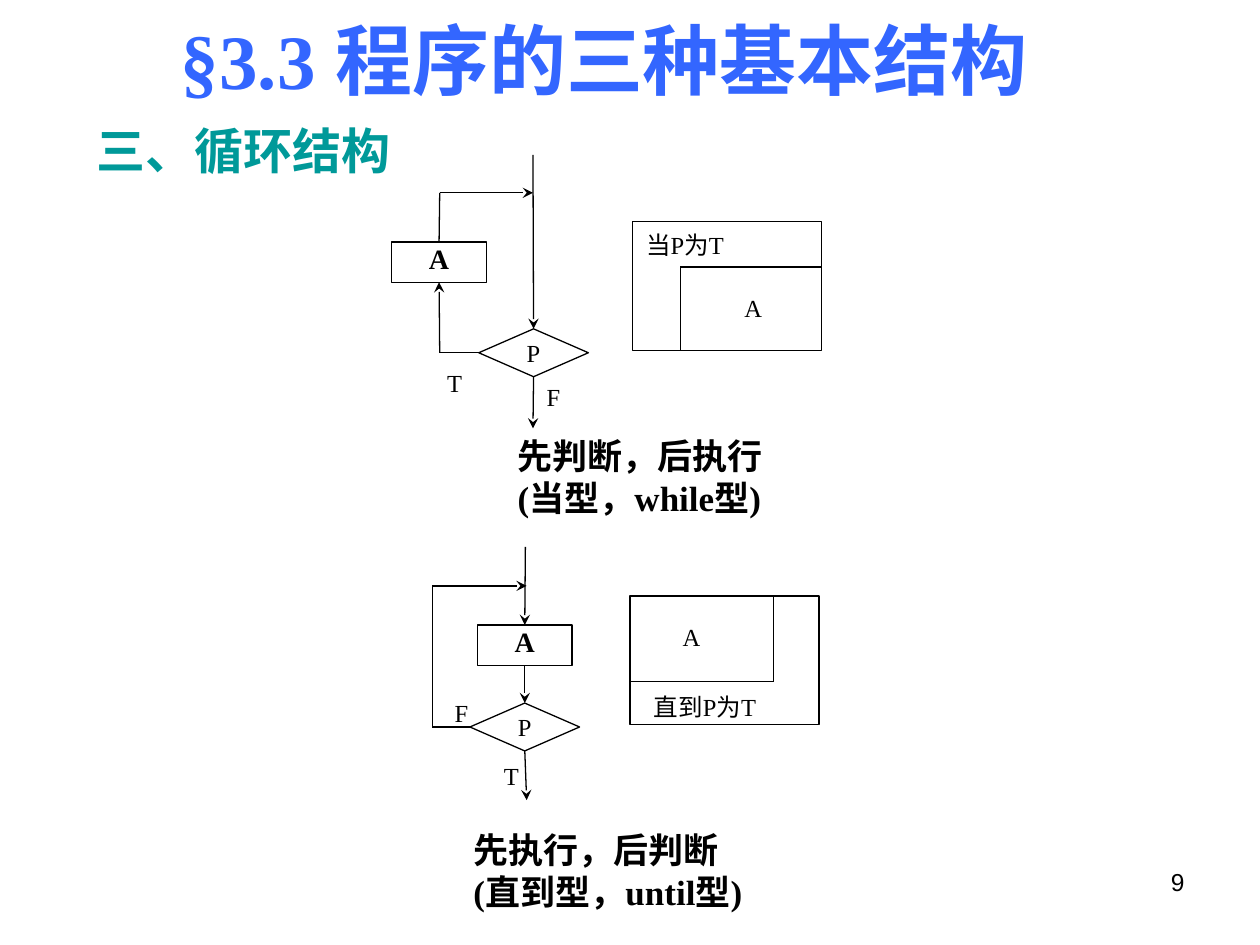
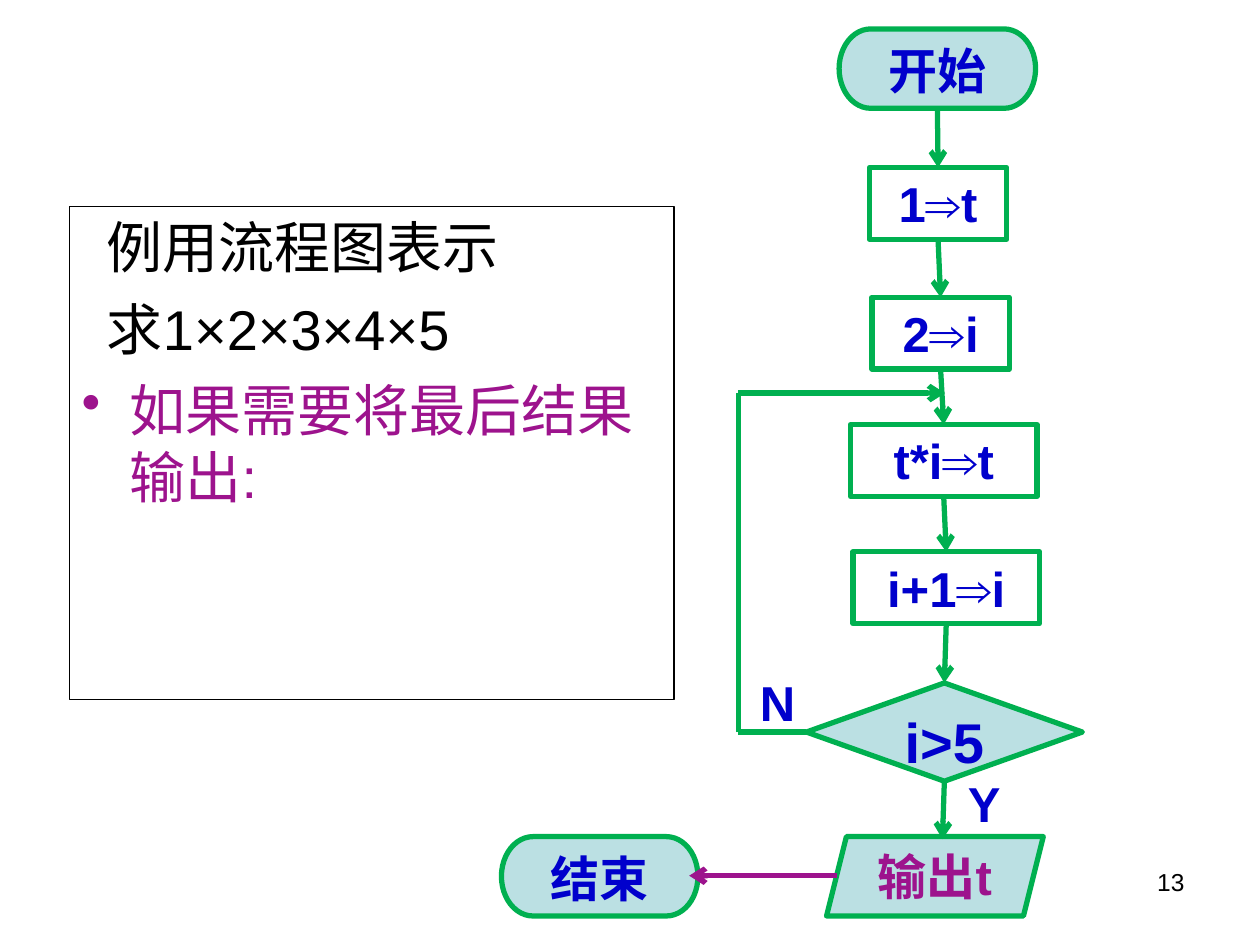
from dataclasses import dataclass

import lxml.etree
import pptx
import pptx.dml.color
import pptx.enum.shapes
import pptx.enum.text
import pptx.oxml.ns
import pptx.util

PX = 9144  # one px is a hundredth of an inch
SHAPE = pptx.enum.shapes.MSO_SHAPE
ALIGN = pptx.enum.text.PP_ALIGN
ANCHOR = pptx.enum.text.MSO_ANCHOR
TOP, LEFT, BOTTOM, RIGHT = range(4)


@dataclass(frozen=True)
class Theme:
    serif: str = "Times New Roman"
    sans: str = "Arial"
    black: str = "000000"
    white: str = "FFFFFF"
    title_blue: str = "3366FF"
    teal: str = "009999"
    green: str = "00B050"
    pale: str = "BBE0E3"
    step_blue: str = "0000CC"
    purple: str = "9D138D"
    thin: float = 0.75
    thick: float = 3
    title: int = 44
    example: int = 32
    heading: int = 28
    caption: int = 20
    box: int = 16
    label: int = 14


THEME = Theme()


def rgb(value):
    return pptx.dml.color.RGBColor.from_string(value)


def sub(parent, tag, **attributes):
    return lxml.etree.SubElement(parent, pptx.oxml.ns.qn(tag), attributes)


def write(frame, text, size=THEME.label, font=THEME.serif, color=THEME.black, bold=False,
          align=ALIGN.LEFT, before=0, margin=0, indent=0, bullet=None):
    """Add each line of text to the frame as a paragraph."""
    for line in text.split("\n"):
        fresh = frame.paragraphs[-1]
        paragraph = frame.add_paragraph() if fresh.runs else fresh
        paragraph.alignment = align
        properties = paragraph._p.get_or_add_pPr()
        properties.set("marL", str(margin * PX))
        properties.set("indent", str(indent * PX))
        if before:
            paragraph.space_before = pptx.util.Pt(before)
        if bullet:
            sub(sub(properties, "a:buClr"), "a:srgbClr", val=color)
            sub(properties, "a:buChar", char=bullet)
        run = paragraph.add_run()
        run.text = line
        run.font.size = pptx.util.Pt(size)
        run.font.name = font
        run.font.bold = bold
        run.font.color.rgb = rgb(color)


def set_frame(frame, inset, wrap, grow=False, anchor=ANCHOR.TOP):
    frame.word_wrap = wrap
    frame.vertical_anchor = anchor
    frame.auto_size = getattr(pptx.enum.text.MSO_AUTO_SIZE, "SHAPE_TO_FIT_TEXT" if grow else "NONE")
    frame.margin_left = frame.margin_right = (10 if inset else 0) * PX
    frame.margin_top = frame.margin_bottom = (5 if inset else 0) * PX


class Region:
    """A set of shapes placed relative to a top-left corner."""

    def __init__(self, shapes, x=0, y=0):
        self.shapes, self.x, self.y = shapes, x, y

    def inner(self, x, y):
        return Region(self.shapes, self.x + x, self.y + y)

    def place(self, x, y):
        return (self.x + x) * PX, (self.y + y) * PX

    def text(self, x, y, width, height, words, wrap=False, grow=True, **style):
        box = self.shapes.add_textbox(*self.place(x, y), width * PX, height * PX)
        set_frame(box.text_frame, True, wrap, grow)
        write(box.text_frame, words, **style)

    def shape(self, kind, x, y, width, height, words="", fill=None, line=THEME.black,
              weight=THEME.thin, inset=False, wrap=True, grow=False, anchor=ANCHOR.TOP, **style):
        part = self.shapes.add_shape(kind, *self.place(x, y), width * PX, height * PX)
        part.shadow.inherit = False
        if fill:
            part.fill.solid()
            part.fill.fore_color.rgb = rgb(fill)
        else:
            part.fill.background()
        part.line.color.rgb = rgb(line)
        part.line.width = pptx.util.Pt(weight)
        set_frame(part.text_frame, inset, wrap, grow, anchor)
        if words:
            write(part.text_frame, words, align=ALIGN.CENTER, **style)
        return part

    def line(self, start, end, color=THEME.black, weight=THEME.thin, arrow=None):
        """Each end is a point, or a shape with one of its sides."""
        points = [(0, 0) if hasattr(stop[0], "shape_id") else self.place(*stop)
                  for stop in (start, end)]
        for index, stop in enumerate((start, end)):
            if hasattr(stop[0], "shape_id"):
                points[index] = side_middle(*stop)
        link = self.shapes.add_connector(
            pptx.enum.shapes.MSO_CONNECTOR.STRAIGHT, *points[0], *points[1])
        if hasattr(start[0], "shape_id"):
            link.begin_connect(*start)
        if hasattr(end[0], "shape_id"):
            link.end_connect(*end)
        link.line.color.rgb = rgb(color)
        link.line.width = pptx.util.Pt(weight)
        if arrow:
            sub(link.line._get_or_add_ln(), "a:tailEnd", type=arrow)
        sub(link._element.spPr, "a:effectLst")


def side_middle(part, side):
    across = {LEFT: 0, RIGHT: part.width}.get(side, part.width // 2)
    down = {TOP: 0, BOTTOM: part.height}.get(side, part.height // 2)
    return part.left + across, part.top + down


def page_number(page, number):
    page.text(717, 683, 233, 52, number, wrap=True, grow=False,
              font=THEME.sans, align=ALIGN.RIGHT)


# Loop structures

def nassi_box(region, condition, condition_at, body_at, bar, post):
    """Structured chart: a condition strip wrapped round the loop body."""
    width, height = 150, 102
    bar_x, bar_y = bar
    region.shape(SHAPE.RECTANGLE, 0, 0, width, height)
    region.line((0 if post else bar_x, bar_y), (bar_x if post else width, bar_y))
    region.line((bar_x, 0 if post else bar_y), (bar_x, bar_y if post else height))
    region.text(*body_at, 34, 34, "A")
    region.text(*condition_at, 115 if post else 95, 34, condition)


def body_step(region, x, y):
    return region.shape(SHAPE.RECTANGLE, x, y, 75, 32, "A", size=THEME.box, bold=True)


def loop_test(region, x, y):
    return region.shape(SHAPE.FLOWCHART_DECISION, x, y, 87, 38, "P", anchor=ANCHOR.MIDDLE)


def while_loop(region):
    nassi_box(region.inner(191, 53), "当P为T", (1, 2), (79, 52), (38, 36), post=False)
    test = loop_test(region, 69, 138)
    body = body_step(region, 0, 69)
    region.line((112, 0), (test, TOP), arrow="stealth")
    region.line((test, BOTTOM), (112, 217), arrow="stealth")
    region.line((test, LEFT), (38, 157))
    region.line((38, 157), (body, BOTTOM), arrow="stealth")
    region.line((body, TOP), (38, 30))
    region.line((38, 30), (112, 30), arrow="stealth")
    region.text(34, 164, 32, 34, "T")
    region.text(113, 175, 31, 34, "F")
    region.text(90, 217, 240, 77, "先判断，后执行\n(当型，while型)", size=THEME.caption, bold=True)


def until_loop(region):
    nassi_box(region.inner(157, 39), "直到P为T", (9, 71), (32, 16), (114, 68), post=True)
    test = loop_test(region, 30, 124)
    body = body_step(region, 36, 62)
    region.line((74, 0), (body, TOP), arrow="stealth")
    region.line((body, BOTTOM), (test, TOP), arrow="stealth")
    region.line((test, BOTTOM), (75, 201), arrow="stealth")
    region.line((test, LEFT), (0, 143))
    region.line((0, 143), (0, 31))
    region.line((0, 31), (75, 31), arrow="stealth")
    region.text(8, 115, 31, 34, "F")
    region.text(47, 165, 32, 34, "T")
    region.text(23, 219, 260, 77, "先执行，后判断\n(直到型，until型)", size=THEME.caption, bold=True)


def loops_slide(slide):
    page = Region(slide.shapes)
    page_number(page, "9")
    page.text(106, 5, 748, 84, "§3.3 程序的三种基本结构", wrap=True, size=THEME.title,
              color=THEME.title_blue, bold=True, align=ALIGN.CENTER)
    page.text(67, 91, 323, 57, "三、循环结构", wrap=True, size=THEME.heading,
              color=THEME.teal, bold=True)
    for draw, x, y in ((while_loop, 311, 123), (until_loop, 343, 434)):
        draw(Region(slide.shapes.add_group_shape().shapes, x, y))


# Factorial example

def task_panel(region):
    panel = region.shape(SHAPE.RECTANGLE, 0, 0, 480, 391, fill=THEME.white, inset=True)
    style = dict(size=THEME.example, font=THEME.sans)
    write(panel.text_frame, "例用流程图表示", margin=20, **style)
    write(panel.text_frame, "求1×2×3×4×5", margin=20, before=8, **style)
    write(panel.text_frame, "如果需要将最后结果输出:", margin=38, indent=-38, before=8,
          bullet="•", color=THEME.purple, **style)


def factorial_flow(region):
    label = dict(size=THEME.heading, font=THEME.sans, color=THEME.step_blue, bold=True)
    outline = dict(line=THEME.green, weight=THEME.thick)
    filled = dict(outline, fill=THEME.pale, wrap=False)
    stroke = dict(color=THEME.green, weight=THEME.thick)

    # Nodes
    begin = region.shape(SHAPE.FLOWCHART_TERMINATOR, 268, 0, 156, 63, "开始", **filled, **label)
    steps = [region.shape(SHAPE.RECTANGLE, x, y, width, 57, words, inset=True, grow=True,
                          **outline, **label)
             for x, y, width, words in ((292, 110, 109, "1⇒t"), (294, 213, 109, "2⇒i"),
                                        (277, 314, 148, "t*i⇒t"), (279, 415, 148, "i+1⇒i"))]
    test = region.shape(SHAPE.FLOWCHART_DECISION, 242, 519, 219, 78, "i>5", **filled,
                        **{**label, "size": THEME.example})
    result = region.shape(SHAPE.PARALLELOGRAM, 258, 641, 172, 63, "输出t", **filled,
                          **{**label, "color": THEME.purple})
    result.adjustments[0] = 0.25
    region.shape(SHAPE.FLOWCHART_TERMINATOR, 0, 641, 156, 63, "结束", **filled, **label)

    # Downward path
    chain = [begin, *steps, test]
    for upper, lower in zip(chain, chain[1:]):
        region.line((upper, BOTTOM), (lower, TOP), arrow="arrow", **stroke)
    region.line((test, BOTTOM), (350, 643), arrow="arrow", **stroke)
    region.line((266, 672), (149, 672), color=THEME.purple, weight=THEME.thick, arrow="arrow")

    # Loop back
    region.line((test, LEFT), (188, 558), **stroke)
    region.line((188, 558), (188, 289), **stroke)
    region.line((188, 289), (352, 289), arrow="arrow", **stroke)
    for x, y, answer in ((188, 506, "N"), (352, 586, "Y")):
        region.text(x, y, 62, 57, answer, wrap=True, align=ALIGN.CENTER, **label)


def factorial_slide(slide):
    page = Region(slide.shapes)
    page_number(page, "13")
    task_panel(page.inner(55, 164))
    factorial_flow(page.inner(398, 23))


def main():
    deck = pptx.Presentation()
    deck.slide_width, deck.slide_height = 1000 * PX, 750 * PX
    for draw in (loops_slide, factorial_slide):
        draw(deck.slides.add_slide(deck.slide_layouts[6]))
    deck.save("out.pptx")


if __name__ == "__main__":
    main()
